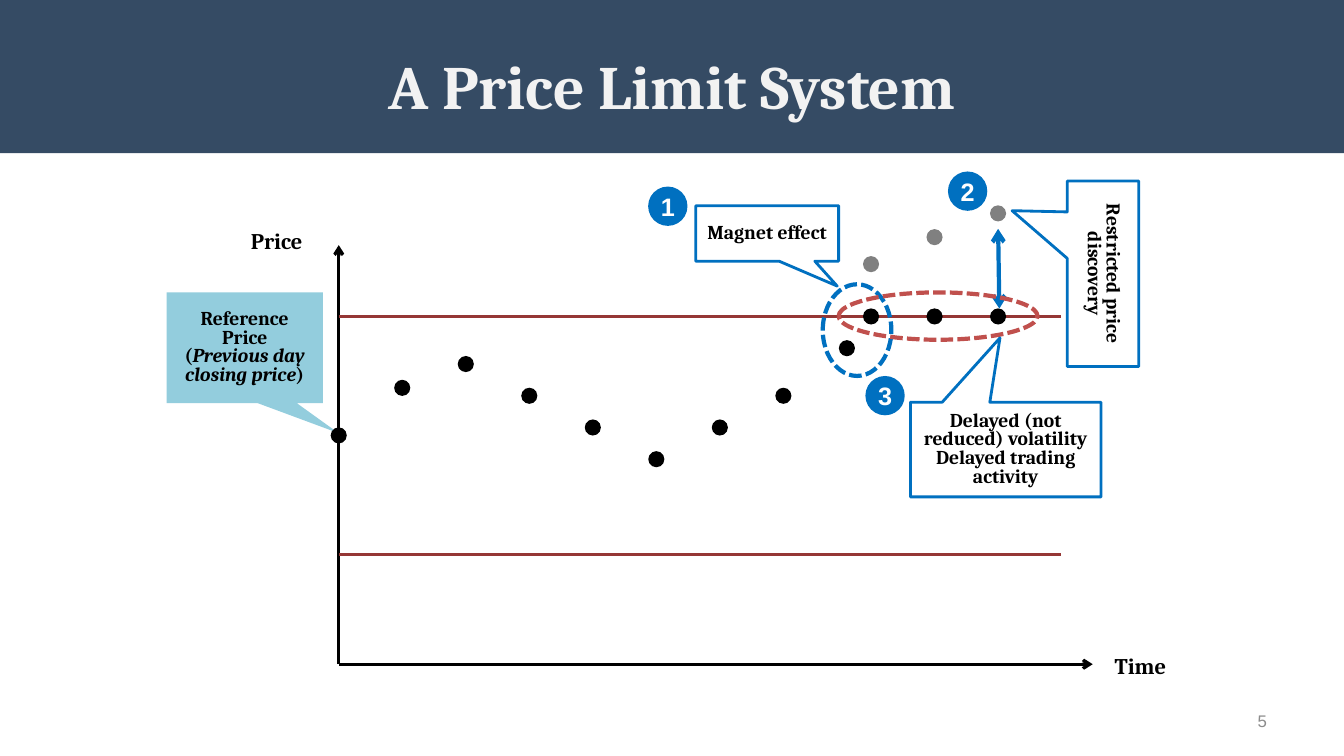
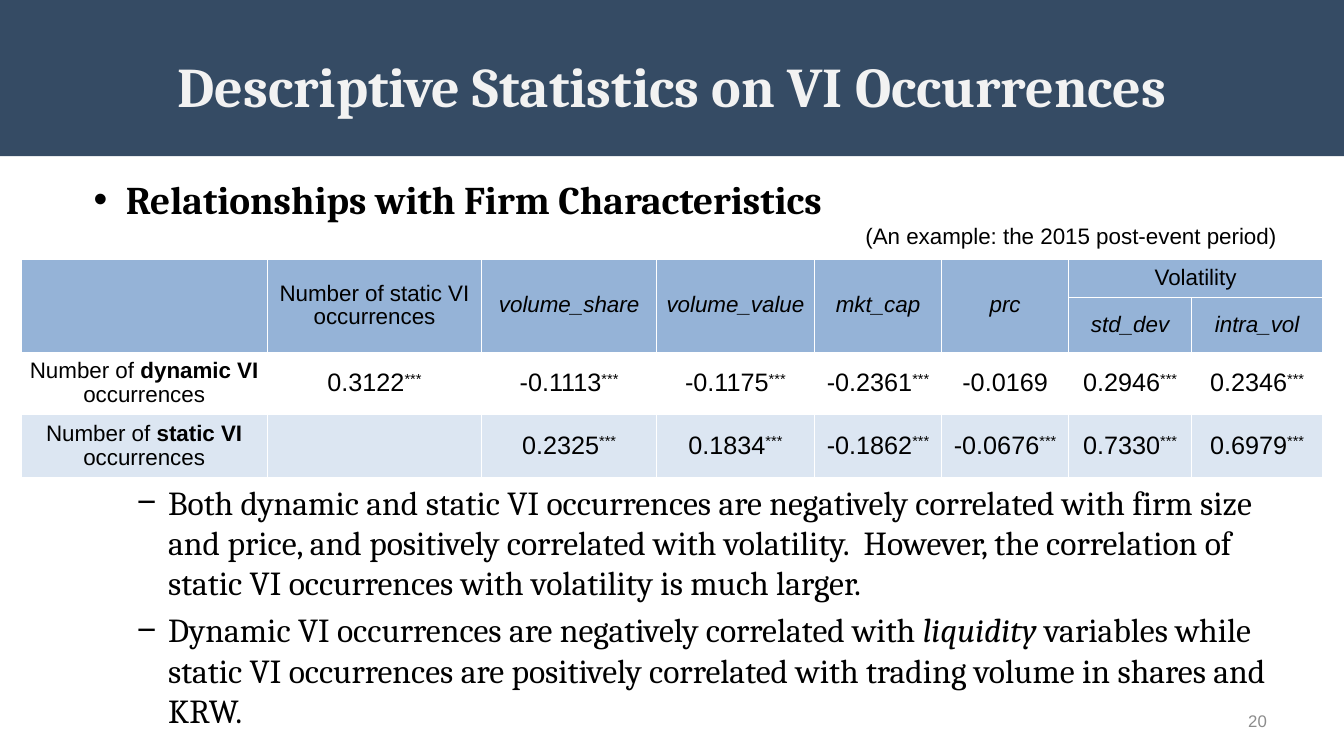
"""Two slides on price limits and volatility interruptions."""
from dataclasses import dataclass

from lxml import etree
from pptx import Presentation
from pptx import util as u
from pptx.dml.color import RGBColor
from pptx.enum import dml, shapes, text
from pptx.oxml.ns import qn

WIDTH, HEIGHT = 13.33, 7.5
SERIF, SANS = "Cambria", "Arial"
COLORS = {
    "band": "203854", "title": "F2F2F2", "number": "8C8C8C", "ink": "000000",
    "paper": "FFFFFF", "limit": "953735", "reference": "93CDDD",
    "accent": "0070C0", "delayed": "C0504D", "latent": "808080",
    "header": "95B3D7", "stripe": "DCE6F2",
}
LEFT, CENTER, RIGHT = text.PP_ALIGN.LEFT, text.PP_ALIGN.CENTER, text.PP_ALIGN.RIGHT
MIDDLE = text.MSO_ANCHOR.MIDDLE
OVAL = shapes.MSO_SHAPE.OVAL


@dataclass
class Grid:
    """Plot grid: columns run right and rows run up from the reference point."""
    left: float
    base: float
    col: float
    row: float

    def point(self, col, row):
        """Return a grid position in inches."""
        return self.left + col * self.col, self.base - row * self.row

    def box(self, col, row, cols, rows):
        """Return the box whose top left corner is at a grid position."""
        return *self.point(col, row), cols * self.col, rows * self.row


def rgb(name):
    """Return a palette colour."""
    return RGBColor.from_string(COLORS[name])


def inches(lengths):
    """Convert lengths to slide units."""
    return [u.Inches(length) for length in lengths]


def write(paragraph, content, size, face=SERIF, color="ink", bold=None,
          align=LEFT, spacing=None):
    """Fill a paragraph with a string or with (words, style) pairs."""
    font = paragraph.font
    font.name, font.size, font.bold = face, u.Pt(size), bold
    font.color.rgb = rgb(color)
    paragraph.alignment = align
    if spacing:
        paragraph.line_spacing = spacing
    for words, style in [(content, "")] if isinstance(content, str) else content:
        run = paragraph.add_run()
        run.text = words
        if style == "bold":
            run.font.bold = True
        elif style == "italic":
            run.font.italic = True
        elif style == "super":
            run.font._element.set("baseline", "30000")


def write_all(frame, contents, **style):
    """Write one paragraph for each content."""
    for index, content in enumerate(contents):
        paragraph = frame.paragraphs[0] if index == 0 else frame.add_paragraph()
        write(paragraph, content, **style)


def bullet(paragraph, mark, margin, hang):
    """Give a paragraph a hanging bullet."""
    properties = paragraph._p.get_or_add_pPr()
    properties.set("marL", str(u.Inches(margin)))
    properties.set("indent", str(-u.Inches(hang)))
    etree.SubElement(properties, qn("a:buFont")).set("typeface", SANS)
    etree.SubElement(properties, qn("a:buChar")).set("char", mark)


def text_area(slide, box):
    """Add a wrapping text box and return its frame."""
    frame = slide.shapes.add_textbox(*inches(box)).text_frame
    frame.word_wrap = True
    return frame


def add_shape(slide, kind, box, fill=None, line=None, weight=2):
    """Add a flat preset shape."""
    shape = slide.shapes.add_shape(kind, *inches(box))
    shape.shadow.inherit = False
    if fill:
        shape.fill.solid()
        shape.fill.fore_color.rgb = rgb(fill)
    else:
        shape.fill.background()
    if line:
        shape.line.color.rgb = rgb(line)
        shape.line.width = u.Pt(weight)
    else:
        shape.line.fill.background()
    return shape


def add_line(slide, start, end, color="ink", weight=2.25, arrows=()):
    """Draw a straight line with arrowheads at the named ends."""
    line = slide.shapes.add_connector(
        shapes.MSO_CONNECTOR.STRAIGHT, *inches((*start, *end)))
    line.line.color.rgb = rgb(color)
    line.line.width = u.Pt(weight)
    for arrow in arrows:
        etree.SubElement(line.line._ln, qn(f"a:{arrow}")).set("type", "arrow")
    etree.SubElement(line._element.spPr, qn("a:effectLst"))


def circle(slide, center, diameter, fill):
    """Add a filled circle around a centre."""
    x, y = center
    box = (x - diameter / 2, y - diameter / 2, diameter, diameter)
    return add_shape(slide, OVAL, box, fill)


def badge(slide, center, number):
    """Add a numbered circle."""
    frame = circle(slide, center, 0.39, "accent").text_frame
    frame.margin_left = frame.margin_right = 0
    frame.margin_top = frame.margin_bottom = 0
    frame.vertical_anchor = MIDDLE
    write(frame.paragraphs[0], number, 18, SANS, "paper", True, CENTER)


def callout(slide, box, tip, contents, fill=None, line="accent", turn=0):
    """Add a callout pointing at a tip given in shares of its size."""
    shape = add_shape(slide, shapes.MSO_SHAPE.RECTANGULAR_CALLOUT, box, fill, line)
    shape.adjustments[0], shape.adjustments[1] = tip
    shape.rotation = turn
    frame = shape.text_frame
    frame.word_wrap = True
    frame.vertical_anchor = MIDDLE
    write_all(frame, contents, size=14, bold=True, align=CENTER, spacing=0.8)


def dashed_ring(slide, box, color):
    """Outline a zone with a dashed ellipse."""
    ring = add_shape(slide, OVAL, box, line=color, weight=3)
    ring.line.dash_style = dml.MSO_LINE.SQUARE_DOT


def titled_slide(deck, title, size, number, band_height):
    """Add a slide with the shared band, title and number."""
    slide = deck.slides.add_slide(deck.slide_layouts[5])
    band = add_shape(slide, shapes.MSO_SHAPE.RECTANGLE,
                     (0, 0, WIDTH, band_height), "band")
    tint = band.fill._xPr.find(qn("a:solidFill"))[0]
    etree.SubElement(tint, qn("a:alpha")).set("val", "90000")
    heading = slide.shapes.title
    slide.shapes._spTree.append(heading._element)
    margin = WIDTH * 0.05
    heading.left, heading.top, heading.width, heading.height = inches(
        (margin, 0.3, WIDTH - 2 * margin, 1.09))
    heading.text_frame.vertical_anchor = MIDDLE
    write(heading.text_frame.paragraphs[0], title, size, color="title",
          bold=True, align=CENTER)
    footer = text_area(slide, (WIDTH - margin - 3.11, 6.95, 3.11, 0.4))
    footer.vertical_anchor = MIDDLE
    write(footer.paragraphs[0], number, 12, SANS, "number", align=RIGHT)
    return slide


def price_path(slide, grid):
    """Draw the axes, the price limits, the reference price and the prices."""
    floor, limit = -28.85, 15
    axes = [("Price", (0, 24), (-1.54, 26.25), 0.8),
            ("Time", (11.87, floor), (12.06, -26.68), None)]
    for name, end, place, spacing in axes:
        add_line(slide, grid.point(0, floor), grid.point(*end), arrows=["tailEnd"])
        label = text_area(slide, grid.box(*place, 1.4, 4.1))
        write(label.paragraphs[0], name, 16, bold=True, spacing=spacing)
    for row in (limit, -limit):
        add_line(slide, grid.point(0, row), grid.point(11.37, row), "limit")
    callout(slide, grid.box(-2.71, 18.05, 2.46, 13.98), (0.6, 0.77),
            ["Reference Price",
             [("(", ""), ("Previous day closing price", "italic"), (")", "")]],
            fill="reference", line=None)
    late = [8.38, 9.38, 10.38]
    free = list(enumerate([0, 6, 9, 5, 1, -3, 1, 5, 11]))
    traded = free + [(col, limit) for col in late]
    latent = list(zip(late, [21.6, 25, 28]))
    for prices, color in ((traded, "ink"), (latent, "latent")):
        for price in prices:
            circle(slide, grid.point(*price), 0.16, color)


def limit_effects(slide, grid):
    """Mark the three effects of the limit."""
    dashed_ring(slide, grid.box(7.62, 19.06, 1.08, 11.56), "accent")
    callout(slide, grid.box(5.62, 28.97, 2.25, 6.99), (0.49, 0.95),
            ["Magnet effect"])
    add_line(slide, grid.point(10.38, 26.05), grid.point(10.4, 16),
             "accent", 3, ["headEnd", "tailEnd"])
    callout(slide, grid.box(10.57, 24.9, 2.92, 9.02), (-0.34, 1.27),
            ["Restricted price discovery"], turn=90)
    dashed_ring(slide, grid.box(7.87, 18.04, 3.13, 5.97), "delayed")
    callout(slide, grid.box(9, 4.19, 3, 11.94), (-0.03, -1.18),
            ["Delayed (not reduced) volatility", "Delayed trading activity"])
    centers = [(5.18, 28.91), (9.9, 30.81), (8.6, 5.02)]
    for number, center in enumerate(centers, 1):
        badge(slide, grid.point(*center), str(number))


def style_cell(cell, fill):
    """Set the fill, white borders, insets and anchor of a cell."""
    properties = cell._tc.get_or_add_tcPr()
    for side in ("lnL", "lnR", "lnT", "lnB"):
        border = etree.SubElement(properties, qn(f"a:{side}"), w=str(u.Pt(1)))
        paint = etree.SubElement(border, qn("a:solidFill"))
        etree.SubElement(paint, qn("a:srgbClr")).set("val", COLORS["paper"])
    cell.fill.solid()
    cell.fill.fore_color.rgb = rgb(fill)
    cell.margin_left = cell.margin_right = u.Inches(0.07)
    cell.margin_top = cell.margin_bottom = u.Inches(0.02)
    cell.vertical_anchor = MIDDLE


def italic(name):
    """Return a name as italic content."""
    return [(name, "italic")]


def correlation(value):
    """Split a coefficient from its significance stars."""
    number = value.rstrip("*")
    return [(number, ""), (value[len(number):], "super")] if number != value else value


def correlation_table(slide, box):
    """Add the table of correlations with firm characteristics."""
    widths = [2.44, 2.13, 1.73, 1.57, 1.26, 1.26, 1.22, 1.3]
    heights = [0.38, 0.54, 0.62, 0.62]
    measures = ["volume_share", "volume_value", "mkt_cap", "prc"]
    counts = {
        "dynamic": "0.3122*** -0.1113*** -0.1175*** -0.2361*** -0.0169 0.2946*** 0.2346***".split(),
        "static": [""] + "0.2325*** 0.1834*** -0.1862*** -0.0676*** 0.7330*** 0.6979***".split(),
    }
    rows = [
        ["", "Number of static VI occurrences", *map(italic, measures), "Volatility", ""],
        [""] * 6 + [italic("std_dev"), italic("intra_vol")],
    ]
    for kind, values in counts.items():
        label = [("Number of ", ""), (f"{kind} VI ", "bold"), ("occurrences", "")]
        rows.append([label, *map(correlation, values)])
    table = slide.shapes.add_table(len(rows), len(widths), *inches(box)).table
    for column, width in zip(table.columns, widths):
        column.width = u.Inches(box[2] * width / sum(widths))
    for row, height in zip(table.rows, heights):
        row.height = u.Inches(box[3] * height / sum(heights))
    fills = ["header", "header", "paper", "stripe"]
    for r, contents in enumerate(rows):
        for c, content in enumerate(contents):
            cell = table.cell(r, c)
            style_cell(cell, fills[r])
            if content:
                write(cell.text_frame.paragraphs[0], content,
                      18 if r > 1 and c > 0 else 16, SANS, align=CENTER, spacing=0.95)
    for c in range(6):
        table.cell(0, c).merge(table.cell(1, c))
    table.cell(0, 6).merge(table.cell(0, 7))


def topic(slide, box):
    """Write the topic and the period shown."""
    frame = text_area(slide, box)
    heading, period = frame.paragraphs[0], frame.add_paragraph()
    bullet(heading, "•", 0.39, 0.32)
    write(heading, "Relationships with Firm Characteristics", 28, bold=True)
    write(period, "(An example: the 2015 post-event period)", 16, SANS, align=RIGHT)


def findings(slide, box):
    """Write the findings under the table."""
    frame = text_area(slide, box)
    contents = [
        "Both dynamic and static VI occurrences are negatively correlated with firm size and price, and positively correlated with volatility.  However, the correlation of static VI occurrences with volatility is much larger.",
        [("Dynamic VI occurrences are negatively correlated with ", ""), ("liquidity ", "italic"),
         ("variables while static VI occurrences are positively correlated with trading volume in shares and KRW.", "")],
    ]
    for finding, content in zip((frame.paragraphs[0], frame.add_paragraph()), contents):
        bullet(finding, "−", 0.81, 0.31)
        write(finding, content, 24)
    finding.space_before = u.Pt(4.8)


def main():
    """Build and save the deck."""
    deck = Presentation()
    deck.slide_width, deck.slide_height = inches((WIDTH, HEIGHT))
    system = titled_slide(deck, "A Price Limit System", 44, "5", 1.52)
    grid = Grid(left=3.36, base=4.32, col=0.63, row=2.36 / 30)
    price_path(system, grid)
    limit_effects(system, grid)
    statistics = titled_slide(
        deck, "Descriptive Statistics on VI Occurrences", 40, "20", 1.55)
    topic(statistics, (0.76, 1.69, 12, 0.85))
    findings(statistics, (0.76, 4.73, 12, 2.6))
    correlation_table(statistics, (0.21, 2.57, 12.91, 2.16))
    deck.save("out.pptx")


if __name__ == "__main__":
    main()
